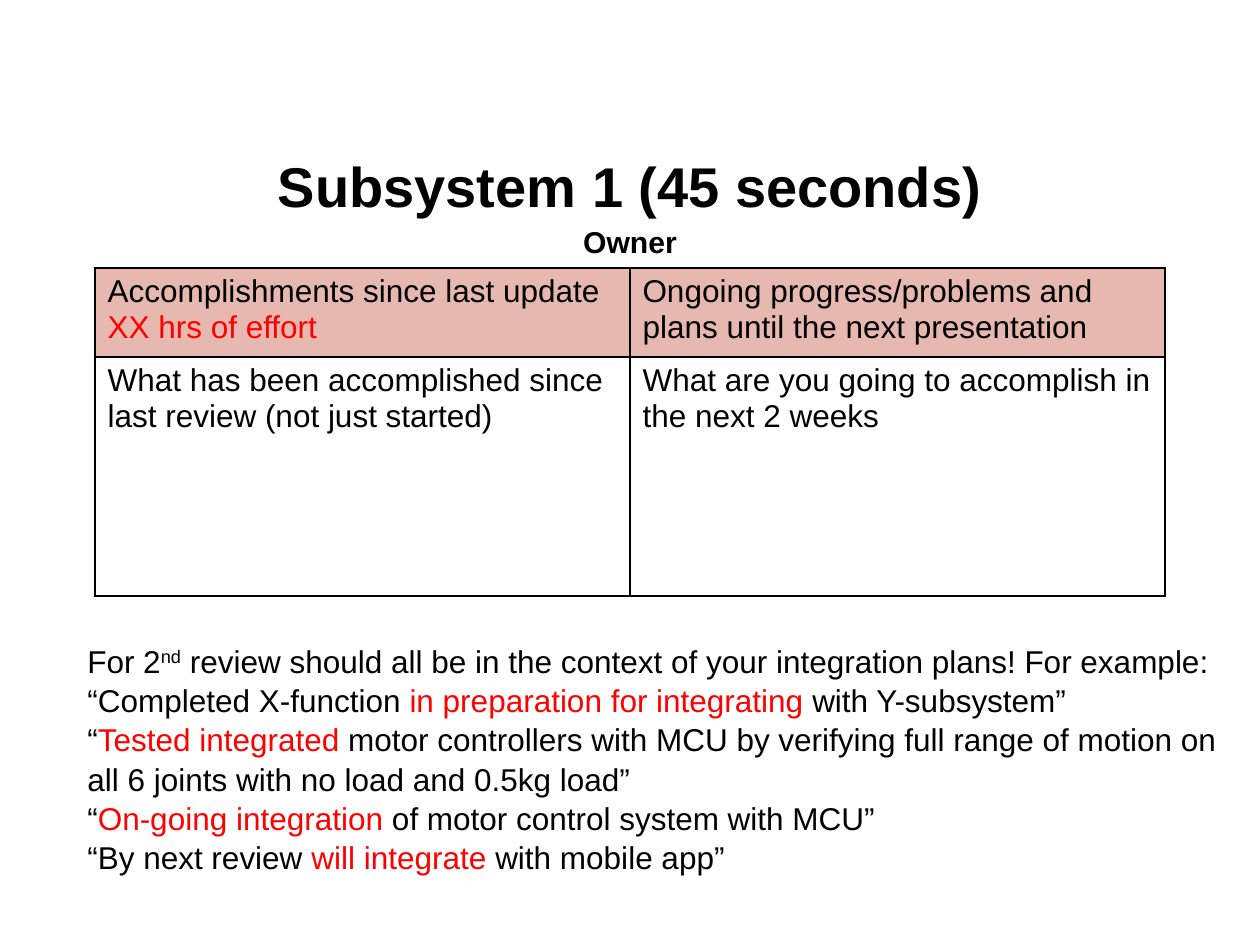
"""Build the subsystem review slide with its progress table and examples."""
from lxml import etree
from pptx import Presentation
from pptx.dml.color import RGBColor
from pptx.enum.text import MSO_ANCHOR, PP_ALIGN
from pptx.oxml.ns import qn
from pptx.util import Pt

CENTER = PP_ALIGN.CENTER
MIDDLE = MSO_ANCHOR.MIDDLE
TOP = MSO_ANCHOR.TOP
EMU_PER_PX = 914400 / 126
COLORS = {"text": "000000", "accent": "FF0000", "header": "E6B8AF", "border": "000000"}


def px(length):
    return round(length * EMU_PER_PX)


def write(paragraph, text, size=18, color="text", bold=False, baseline=None):
    run = paragraph.add_run()
    run.text = text
    run.font.name = "Arial"
    run.font.size = Pt(size)
    run.font.bold = bold
    run.font.color.rgb = RGBColor.from_string(COLORS[color])
    if baseline:
        run._r.get_or_add_rPr().set("baseline", str(baseline))


class SlideBuilder:
    def __init__(self, slide):
        self.slide = slide

    def text_box(self, left, top, width, height, paragraphs,
                 align=None, anchor=TOP, line_spacing=1.0):
        shape = self.slide.shapes.add_textbox(px(left), px(top), px(width), px(height))
        frame = shape.text_frame
        frame.word_wrap = True
        frame.vertical_anchor = anchor
        for index, runs in enumerate(paragraphs):
            paragraph = frame.add_paragraph() if index else frame.paragraphs[0]
            paragraph.alignment = align
            paragraph.line_spacing = line_spacing
            for text, style in runs:
                write(paragraph, text, **style)

    def border(self, cell):
        properties = cell._tc.get_or_add_tcPr()
        for position, side in enumerate(("lnL", "lnR", "lnT", "lnB")):
            line = etree.Element(qn(f"a:{side}"), w=str(Pt(1)))
            fill = etree.SubElement(line, qn("a:solidFill"))
            etree.SubElement(fill, qn("a:srgbClr"), val=COLORS["border"])
            properties.insert(position, line)

    def table(self, left, top, column_widths, row_heights, rows):
        shape = self.slide.shapes.add_table(
            len(rows), len(column_widths), px(left), px(top),
            px(sum(column_widths)), px(sum(row_heights)))
        table = shape.table
        for column, width in zip(table.columns, column_widths):
            column.width = px(width)
        for row, height, contents in zip(table.rows, row_heights, rows):
            row.height = px(height)
            for cell, runs in zip(row.cells, contents):
                if contents is rows[0]:
                    cell.fill.solid()
                    cell.fill.fore_color.rgb = RGBColor.from_string(COLORS["header"])
                else:
                    cell.fill.background()
                self.border(cell)
                for text, style in runs:
                    write(cell.text_frame.paragraphs[0], text, **style)


def main():
    presentation = Presentation()
    presentation.slide_width = px(1260)
    presentation.slide_height = px(945)
    builder = SlideBuilder(presentation.slides.add_slide(presentation.slide_layouts[6]))
    plain, accent = {}, {"color": "accent"}

    title = [
        [("Subsystem 1 (45 seconds)", {"size": 32, "bold": True})],
        [("Owner", {"size": 17.2, "bold": True})],
    ]
    builder.text_box(63, 145, 1134, 111, title, CENTER, MIDDLE, 1.15)

    progress = [
        [[("Accomplishments since last update ", plain), ("XX hrs of effort", accent)],
         [("Ongoing progress/problems and plans until the next presentation", plain)]],
        [[("What has been accomplished since last review (not just started)", plain)],
         [("What are you going to accomplish in the next 2 weeks", plain)]],
    ]
    builder.table(95, 268, [535, 535], [89, 239], progress)

    examples = [
        [("For 2", plain), ("nd", {"baseline": 30000}),
         (" review should all be in the context of your integration plans! For example:", plain)],
        [("“Completed X-function ", plain), ("in preparation for integrating ", accent),
         ("with Y-subsystem”", plain)],
        [("“", plain), ("Tested integrated ", accent),
         ("motor controllers with MCU by verifying full range of motion on all 6 joints "
          "with no load and 0.5kg load”", plain)],
        [("“", plain), ("On-going integration ", accent),
         ("of motor control system with MCU”", plain)],
        [("“By next review ", plain), ("will integrate ", accent),
         ("with mobile app”", plain)],
    ]
    builder.text_box(75, 634, 1158, 280, examples, line_spacing=1.04)
    presentation.save("out.pptx")


if __name__ == "__main__":
    main()
